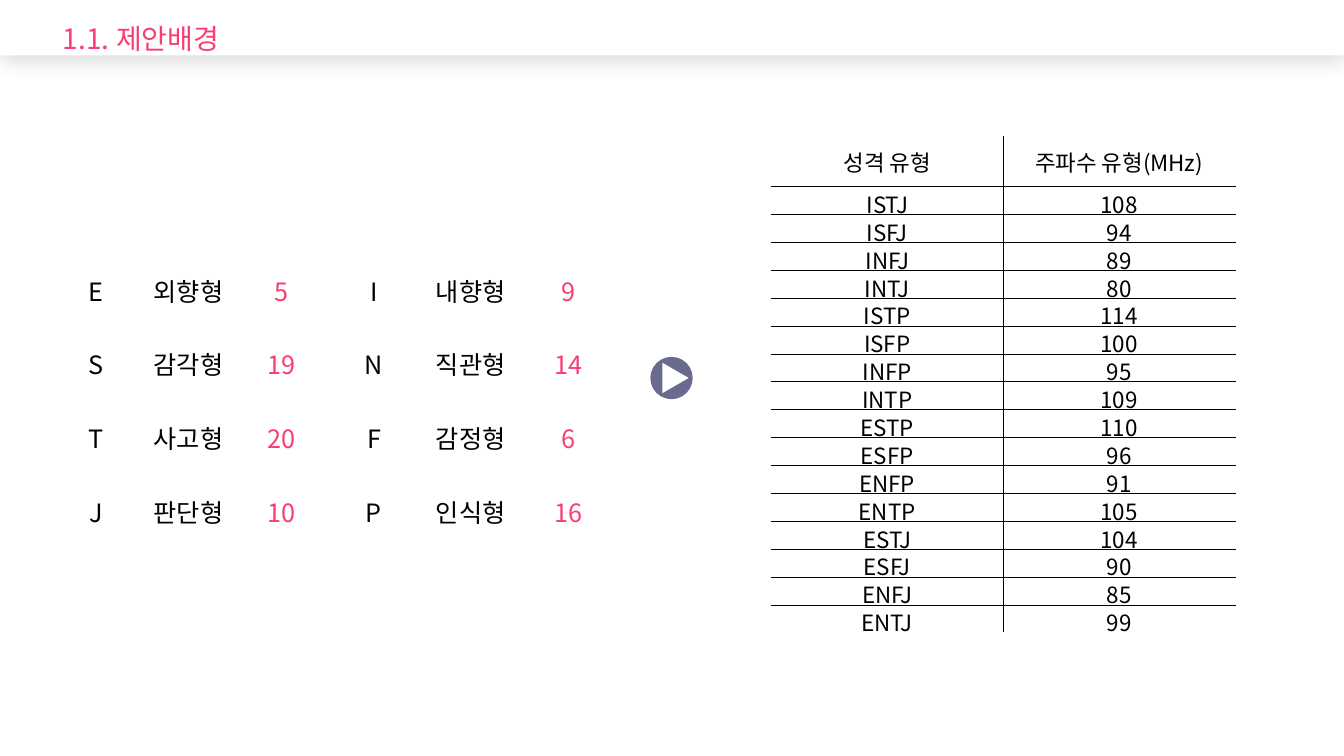
import dataclasses
import typing

import lxml.etree
import pptx
import pptx.dml.color
import pptx.enum.shapes
import pptx.enum.text
import pptx.oxml
import pptx.oxml.ns
import pptx.util

Inches = pptx.util.Inches
qn = pptx.oxml.ns.qn
SHAPE = pptx.enum.shapes.MSO_SHAPE
ANCHOR = pptx.enum.text.MSO_ANCHOR


@dataclasses.dataclass(frozen=True)
class Theme:
    font: str = "Noto Sans CJK KR"
    white: str = "FFFFFF"
    black: str = "000000"
    accent: str = "FA3C71"
    badge: str = "6A6A8E"
    title_size: float = 20
    trait_size: float = 18
    frequency_size: float = 16


@dataclasses.dataclass(frozen=True)
class Border:
    color: str
    width: float


@dataclasses.dataclass(frozen=True)
class Grid:
    left: float
    top: float
    widths: list[float]
    heights: list[float]
    rows: list[tuple[str, ...]]
    size: float
    inner: Border
    accent_columns: tuple[int, ...] = ()


THEME = Theme()
OUTER = Border(THEME.white, 1)
RULE = Border(THEME.black, 0.5)

TRAITS = [
    ("E", "외향형", "5", "I", "내향형", "9"),
    ("S", "감각형", "19", "N", "직관형", "14"),
    ("T", "사고형", "20", "F", "감정형", "6"),
    ("J", "판단형", "10", "P", "인식형", "16"),
]
FREQUENCIES = [
    ("성격 유형", "주파수 유형(MHz)"),
    ("ISTJ", "108"), ("ISFJ", "94"), ("INFJ", "89"), ("INTJ", "80"),
    ("ISTP", "114"), ("ISFP", "100"), ("INFP", "95"), ("INTP", "109"),
    ("ESTP", "110"), ("ESFP", "96"), ("ENFP", "91"), ("ENTP", "105"),
    ("ESTJ", "104"), ("ESFJ", "90"), ("ENFJ", "85"), ("ENTJ", "99"),
]
GRIDS = [
    Grid(0.49, 2.51, [0.92] * 4 + [1.0, 0.94], [0.73] * 4, TRAITS,
         THEME.trait_size, OUTER, accent_columns=(2, 5)),
    Grid(7.65, 1.36, [2.3] * 2, [0.49] + [4.43 / 16] * 16, FREQUENCIES,
         THEME.frequency_size, RULE),
]


def rgb(color: str) -> pptx.dml.color.RGBColor:
    return pptx.dml.color.RGBColor.from_string(color)


def write_text(tf: typing.Any, text: str, *, size: float, color: str) -> None:
    p = tf.paragraphs[0]
    p.alignment = pptx.enum.text.PP_ALIGN.CENTER
    r = p.add_run()
    r.text = text
    r.font.size = pptx.util.Pt(size)
    r.font.name = THEME.font
    r.font.color.rgb = rgb(color)
    ea = lxml.etree.SubElement(r.font._element, qn("a:ea"))
    ea.set("typeface", THEME.font)


def add_plain_shape(shapes: typing.Any, kind: typing.Any, left: float, top: float,
                    width: float, height: float, color: str) -> typing.Any:
    sp = shapes.add_shape(kind, Inches(left), Inches(top), Inches(width), Inches(height))
    sp.fill.solid()
    sp.fill.fore_color.rgb = rgb(color)
    sp.line.fill.background()
    sp.shadow.inherit = False
    return sp


def set_borders(cell: typing.Any, borders: dict[str, Border]) -> None:
    tcPr = cell._tc.get_or_add_tcPr()
    for i, (side, border) in enumerate(borders.items()):
        ln = pptx.oxml.parse_xml(
            f'<a:{side} {pptx.oxml.ns.nsdecls("a")} w="{pptx.util.Pt(border.width)}">'
            f'<a:solidFill><a:srgbClr val="{border.color}"/></a:solidFill></a:{side}>')
        tcPr.insert(i, ln)


def add_grid(s: typing.Any, grid: Grid) -> None:
    n_rows, n_cols = len(grid.heights), len(grid.widths)
    table = s.shapes.add_table(
        n_rows, n_cols, Inches(grid.left), Inches(grid.top),
        Inches(sum(grid.widths)), Inches(sum(grid.heights))).table
    table.first_row = False
    table.horz_banding = False
    for column, width in zip(table.columns, grid.widths):
        column.width = Inches(width)
    for i, (row, height) in enumerate(zip(table.rows, grid.heights)):
        row.height = Inches(height)
        for j, cell in enumerate(row.cells):
            cell.fill.solid()
            cell.fill.fore_color.rgb = rgb(THEME.white)
            cell.vertical_anchor = ANCHOR.MIDDLE
            cell.margin_left = cell.margin_right = cell.margin_top = Inches(0.01)
            cell.margin_bottom = 0
            color = THEME.accent if j in grid.accent_columns else THEME.black
            write_text(cell.text_frame, grid.rows[i][j], size=grid.size, color=color)
            set_borders(cell, {
                "lnL": OUTER if j == 0 else grid.inner,
                "lnR": OUTER if j == n_cols - 1 else grid.inner,
                "lnT": OUTER if i == 0 else grid.inner,
                "lnB": OUTER if i == n_rows - 1 else grid.inner,
            })


def add_header(s: typing.Any) -> None:
    band = add_plain_shape(s.shapes, SHAPE.RECTANGLE, 0, 0, 13.33, 0.55, THEME.white)
    effects = band._element.spPr.find(qn("a:effectLst"))
    effects.append(pptx.oxml.parse_xml(
        f'<a:outerShdw {pptx.oxml.ns.nsdecls("a")} blurRad="{pptx.util.Pt(15)}" '
        f'dist="{pptx.util.Pt(3)}" dir="5400000" algn="t" rotWithShape="0">'
        f'<a:srgbClr val="{THEME.black}"><a:alpha val="15000"/></a:srgbClr></a:outerShdw>'))
    title = s.shapes.title
    title._element.addprevious(band._element)
    title.left, title.top = Inches(0.35), Inches(0.16)
    title.width, title.height = Inches(2.1), Inches(0.44)
    tf = title.text_frame
    tf.word_wrap = True
    tf.auto_size = pptx.enum.text.MSO_AUTO_SIZE.SHAPE_TO_FIT_TEXT
    tf.vertical_anchor = ANCHOR.TOP
    write_text(tf, "1.1. 제안배경", size=THEME.title_size, color=THEME.accent)


def add_play_badge(s: typing.Any) -> None:
    shapes = s.shapes.add_group_shape().shapes
    add_plain_shape(shapes, SHAPE.OVAL, 6.45, 3.54, 0.42, 0.42, THEME.badge)
    arrow = add_plain_shape(shapes, SHAPE.ISOSCELES_TRIANGLE, 6.55, 3.62, 0.3, 0.26, THEME.white)
    arrow.rotation = 90


def main() -> None:
    prs = pptx.Presentation()
    prs.slide_width, prs.slide_height = Inches(13.33), Inches(7.5)
    s = prs.slides.add_slide(prs.slide_layouts[5])
    add_header(s)
    traits, frequencies = GRIDS
    add_grid(s, traits)
    add_play_badge(s)
    add_grid(s, frequencies)
    prs.save("out.pptx")


if __name__ == "__main__":
    main()
